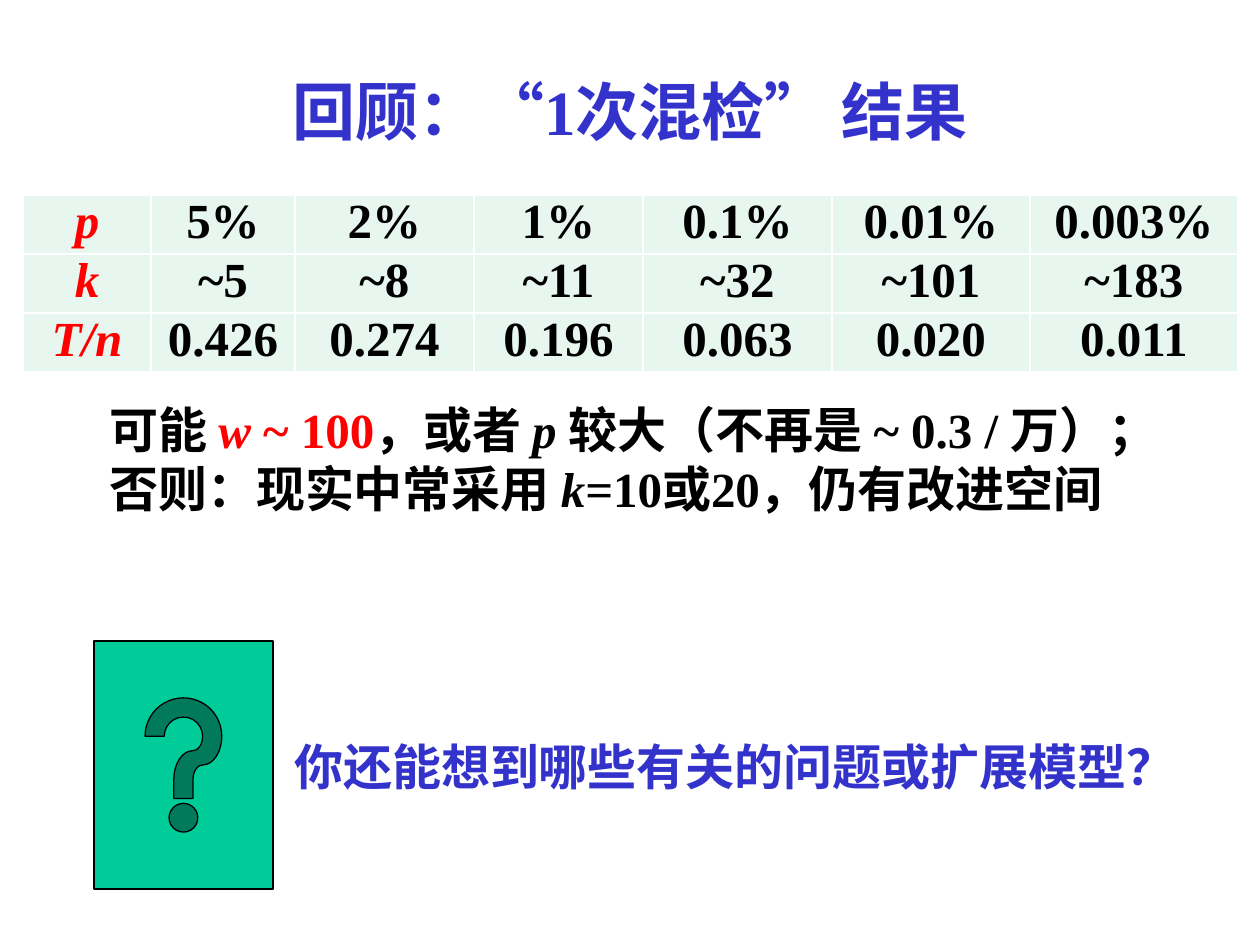
from lxml import etree
from pptx import Presentation
from pptx import util as u
from pptx.dml.color import RGBColor
from pptx.enum import shapes, text
from pptx.oxml.ns import qn

# Content: each paragraph is a list of (text, colour name, italic) runs
TITLE = [[("回顾：“1次混检” 结果", "blue", False)]]
RESULTS = [
    ("p", "5%", "2%", "1%", "0.1%", "0.01%", "0.003%"),
    ("k", "~5", "~8", "~11", "~32", "~101", "~183"),
    ("T/n", "0.426", "0.274", "0.196", "0.063", "0.020", "0.011"),
]
REMARKS = [
    [("可能 ", "black", False), ("w ", "red", True), ("~ 100", "red", False),
     ("，或者 ", "black", False), ("p ", "black", True),
     ("较大（不再是 ~ 0.3 / 万）；", "black", False)],
    [("否则：现实中常采用 ", "black", False), ("k", "black", True),
     ("=10或20，仍有改进空间", "black", False)],
]
QUESTION = [[("你还能想到哪些有关的问题或扩展模型？", "blue", False)]]

# Layout in px
PX = 914400 / 126
COLUMNS = (128, 144, 179, 169, 189, 198, 208)
ROWS = (59, 50, 59)

THEME = {
    "font": "Times New Roman", "title": 36, "body": 28,
    "blue": "3333CC", "red": "FF0000", "black": "000000", "white": "FFFFFF",
    "cell": "E7F6EF", "button": "00CC99",
}


def px(length):
    return u.Emu(round(length * PX))


def color(name):
    return RGBColor.from_string(THEME[name])


def write(frame, paragraphs, size="body", align=text.PP_ALIGN.LEFT):
    frame.word_wrap = True
    for index, runs in enumerate(paragraphs):
        paragraph = frame.add_paragraph() if index else frame.paragraphs[0]
        paragraph.alignment = align
        for words, color_name, italic in runs:
            run = paragraph.add_run()
            run.text = words
            run.font.name = THEME["font"]
            run.font.size = u.Pt(THEME[size])
            run.font.bold = True
            run.font.italic = italic
            run.font.color.rgb = color(color_name)


def add_text(container, box, paragraphs, **style):
    shape = container.add_textbox(*map(px, box))
    shape.text_frame.vertical_anchor = text.MSO_ANCHOR.TOP
    write(shape.text_frame, paragraphs, **style)


def set_borders(cell):
    properties = cell._tc.get_or_add_tcPr()
    for index, side in enumerate(("lnL", "lnR", "lnT", "lnB")):
        line = etree.Element(qn(f"a:{side}"), w=str(u.Pt(1)))
        fill = etree.SubElement(line, qn("a:solidFill"))
        etree.SubElement(fill, qn("a:srgbClr"), val=THEME["white"])
        properties.insert(index, line)


def add_results(slide, left, top):
    frame = slide.shapes.add_table(len(ROWS), len(COLUMNS), px(left), px(top),
                                   px(sum(COLUMNS)), px(sum(ROWS)))
    table = frame.table
    for column, width in zip(table.columns, COLUMNS):
        column.width = px(width)
    for r, (height, values) in enumerate(zip(ROWS, RESULTS)):
        table.rows[r].height = px(height)
        for c, value in enumerate(values):
            cell = table.cell(r, c)
            cell.margin_left = cell.margin_right = px(9)
            cell.margin_top = cell.margin_bottom = 0
            cell.fill.solid()
            cell.fill.fore_color.rgb = color("cell")
            set_borders(cell)
            is_label = c == 0
            run = (value, "red" if is_label else "black", is_label)
            write(cell.text_frame, [[run]], align=text.PP_ALIGN.CENTER)


def add_help_button(container, box):
    button = container.add_shape(shapes.MSO_SHAPE.ACTION_BUTTON_HELP, *map(px, box))
    button.shadow.inherit = False
    button.fill.solid()
    button.fill.fore_color.rgb = color("button")
    button.line.color.rgb = color("black")
    button.line.width = u.Pt(0.75)


def main():
    presentation = Presentation()
    presentation.slide_width, presentation.slide_height = px(1260), px(945)
    slide = presentation.slides.add_slide(presentation.slide_layouts[6])

    # Title, results and remarks
    add_text(slide.shapes, (63, 66, 1134, 130), TITLE,
             size="title", align=text.PP_ALIGN.CENTER)
    add_results(slide, 23, 195)
    add_text(slide.shapes, (97, 393, 1142, 131), REMARKS)

    # Closing question with its button
    group = slide.shapes.add_group_shape()
    add_text(group.shapes, (282, 730, 893, 72), QUESTION)
    add_help_button(group.shapes, (94, 641, 179, 248))

    presentation.save("out.pptx")


if __name__ == "__main__":
    main()
